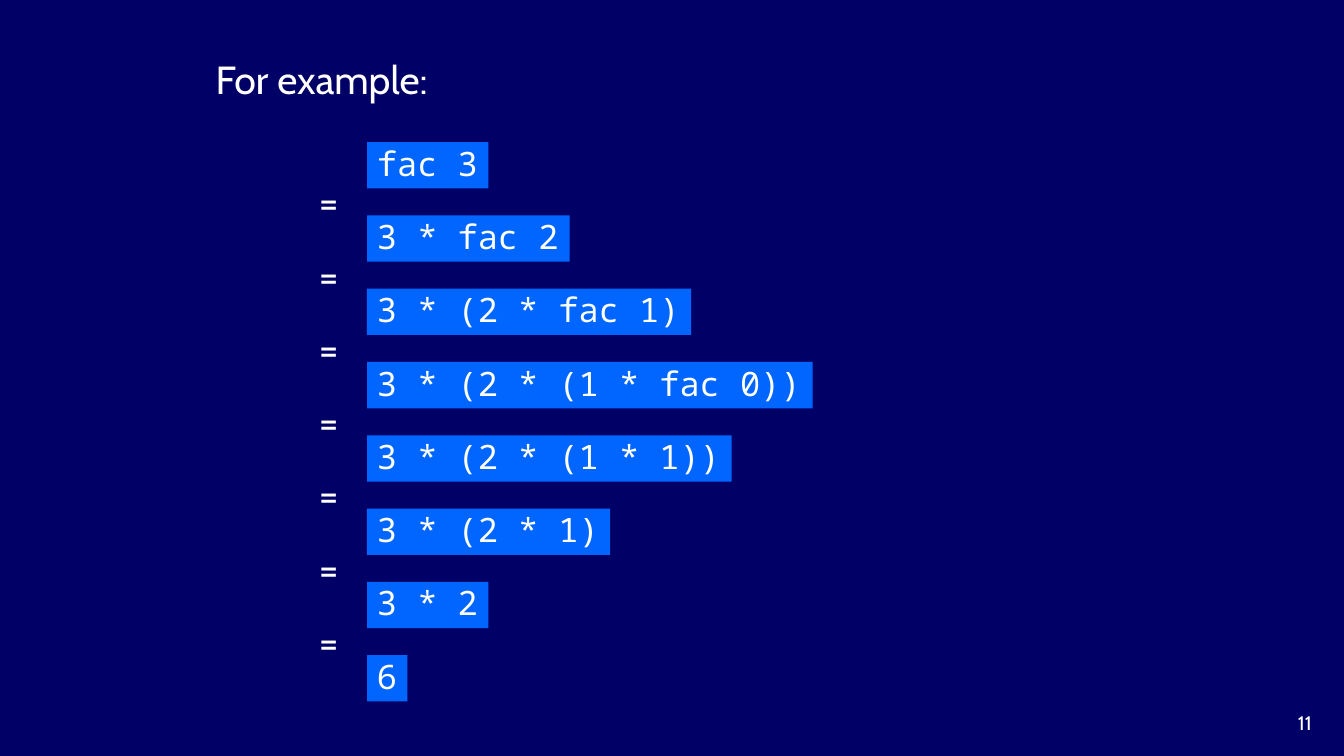
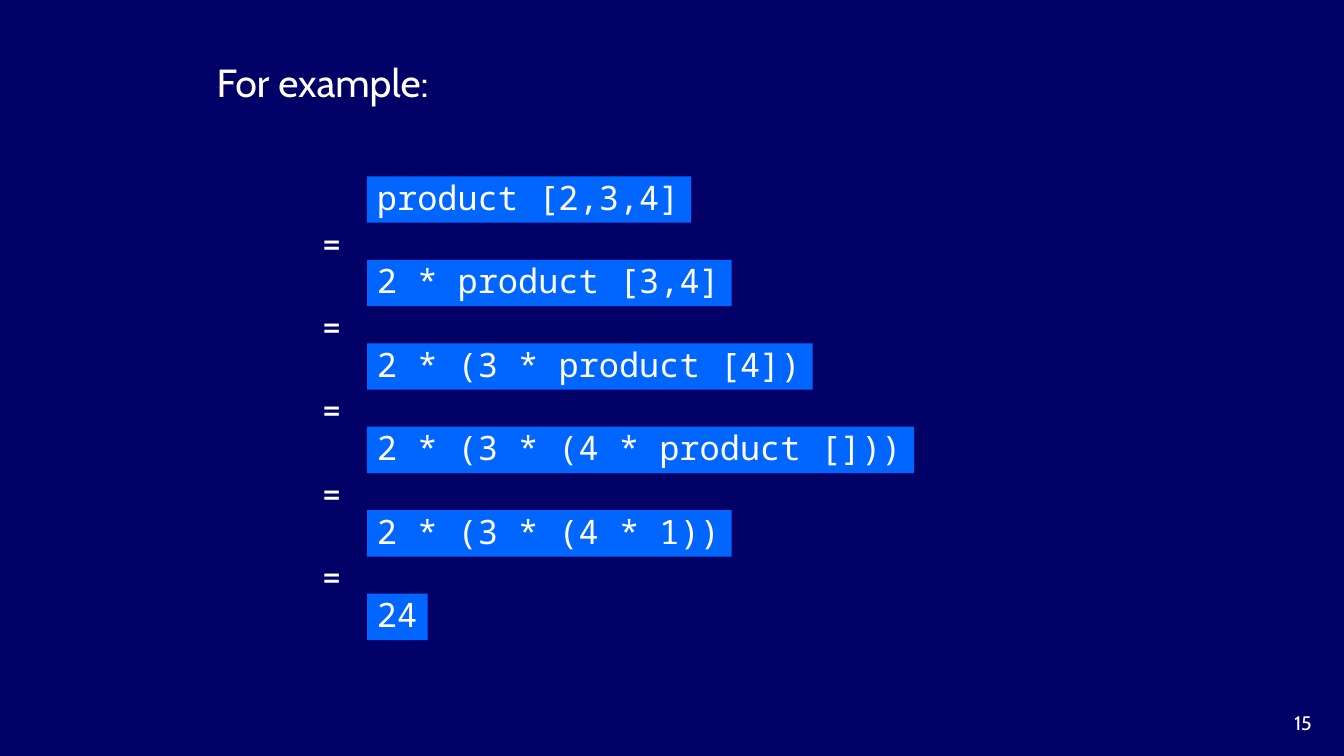
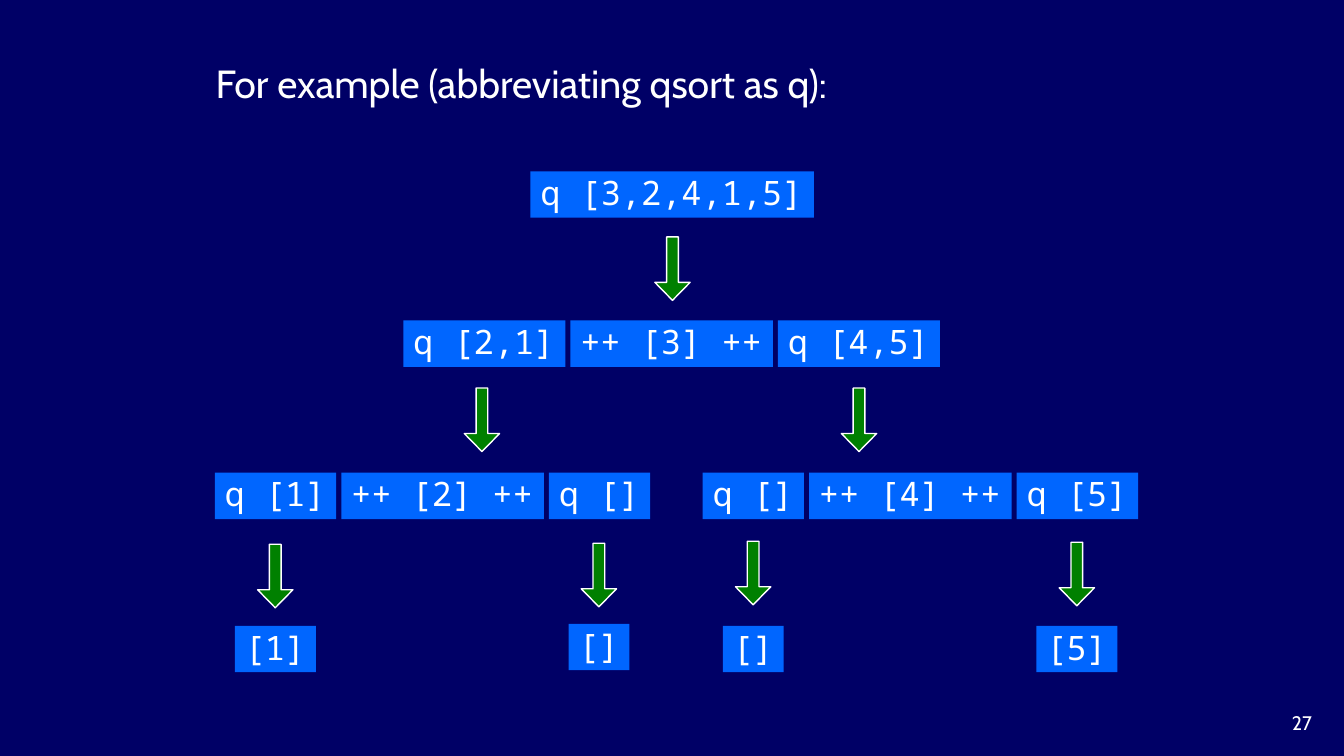
from dataclasses import dataclass

from pptx import Presentation
from pptx.dml.color import RGBColor
from pptx.enum.shapes import MSO_SHAPE
from pptx.enum.text import MSO_ANCHOR, MSO_AUTO_SIZE, PP_ALIGN
from pptx.util import Inches, Pt

RECTANGLE = MSO_SHAPE.RECTANGLE
DOWN_ARROW = MSO_SHAPE.DOWN_ARROW
TOP, MIDDLE = MSO_ANCHOR.TOP, MSO_ANCHOR.MIDDLE
LEFT, CENTER, RIGHT = PP_ALIGN.LEFT, PP_ALIGN.CENTER, PP_ALIGN.RIGHT
GROW, FIXED = MSO_AUTO_SIZE.SHAPE_TO_FIT_TEXT, MSO_AUTO_SIZE.NONE

NAVY, BLUE, GREEN, WHITE = "000066", "0066FF", "008000", "FFFFFF"
BODY_FONT, CODE_FONT = "Cabin", "Noto Sans Mono"
BLANK_LAYOUT = 6

CODE_LEFT = 3.64
CODE_HEIGHT = 0.46
CODE_PADDING = 0.2
TEN_CHARACTERS = 2.01
PIECE_GAP = 0.05
ARROW_WIDTH, ARROW_HEIGHT = 0.35, 0.63


@dataclass(frozen=True)
class Heading:
    text: str
    left: float
    top: float
    width: float


@dataclass(frozen=True)
class Derivation:
    number: int
    heading: Heading
    first_top: float
    last_top: float
    equals_left: float
    equals_drop: float
    lines: tuple[str, ...]


@dataclass(frozen=True)
class Expansion:
    arrow_center: float
    arrow_top: float
    row_left: float
    row_top: float
    pieces: tuple[str, ...]


FACTORIAL = Derivation(
    11, Heading("For example:", 2.04, 0.5, 2.45), 1.41, 6.5, 3.02, 0.3,
    (
        "fac 3",
        "3 * fac 2",
        "3 * (2 * fac 1)",
        "3 * (2 * (1 * fac 0))",
        "3 * (2 * (1 * 1))",
        "3 * (2 * 1)",
        "3 * 2",
        "6",
    ),
)
PRODUCT = Derivation(
    15, Heading("For example:", 2.05, 0.53, 2.45), 1.75, 5.89, 3.05, 0.35,
    (
        "product [2,3,4]",
        "2 * product [3,4]",
        "2 * (3 * product [4])",
        "2 * (3 * (4 * product []))",
        "2 * (3 * (4 * 1))",
        "24",
    ),
)
SORT_HEADING = Heading("For example (abbreviating qsort as q):", 2.04, 0.54, 9.09)
SORT_EXPANSIONS = (
    Expansion(6.67, 2.35, 4, 3.18, ("q [2,1]", "++ [3] ++", "q [4,5]")),
    Expansion(4.78, 3.85, 2.13, 4.69, ("q [1]", "++ [2] ++", "q []")),
    Expansion(8.52, 3.85, 6.97, 4.69, ("q []", "++ [4] ++", "q [5]")),
    Expansion(2.73, 5.4, 2.33, 6.21, ("[1]",)),
    Expansion(5.94, 5.39, 5.64, 6.19, ("[]",)),
    Expansion(7.47, 5.37, 7.17, 6.21, ("[]",)),
    Expansion(10.68, 5.38, 10.28, 6.21, ("[5]",)),
)


def color(value: str) -> RGBColor:
    return RGBColor.from_string(value)


def write(box, text: str, *, font: str = BODY_FONT, size: float = 28, align=LEFT,
          anchor=MIDDLE, wrap: bool = False, fit=GROW, spacing: float | None = None) -> None:
    frame = box.text_frame
    frame.word_wrap = wrap
    frame.auto_size = fit
    frame.vertical_anchor = anchor
    para = frame.paragraphs[0]
    para.alignment = align
    para.line_spacing = spacing
    span = para.add_run()
    span.text = text
    span.font.name = font
    span.font.size = Pt(size)
    span.font.color.rgb = color(WHITE)


def add_label(page, text: str, left: float, top: float, width: float, height: float,
              **text_format) -> None:
    box = page.shapes.add_textbox(Inches(left), Inches(top), Inches(width), Inches(height))
    write(box, text, **text_format)


def add_filled(page, preset, left: float, top: float, width: float, height: float, fill: str):
    shape = page.shapes.add_shape(preset, Inches(left), Inches(top), Inches(width), Inches(height))
    shape.shadow.inherit = False
    shape.fill.solid()
    shape.fill.fore_color.rgb = color(fill)
    return shape


def code_width(text: str) -> float:
    return CODE_PADDING + len(text) * TEN_CHARACTERS / 10


def add_code(page, text: str, left: float, top: float) -> None:
    box = add_filled(page, RECTANGLE, left, top, code_width(text), CODE_HEIGHT, BLUE)
    box.line.fill.background()
    write(box, text, font=CODE_FONT, size=24, spacing=0.9)


def add_arrow(page, center: float, top: float) -> None:
    arrow = add_filled(page, DOWN_ARROW, center - ARROW_WIDTH / 2, top,
                       ARROW_WIDTH, ARROW_HEIGHT, GREEN)
    arrow.adjustments[0] = 0.33
    arrow.adjustments[1] = 0.51
    arrow.line.color.rgb = color(WHITE)
    arrow.line.width = Pt(1)


def add_page(deck, number: int, heading: Heading):
    page = deck.slides.add_slide(deck.slide_layouts[BLANK_LAYOUT])
    add_label(page, str(number), 12.22, 7, 0.89, 0.33, size=14, align=RIGHT,
              anchor=TOP, wrap=True, fit=FIXED)
    add_label(page, heading.text, heading.left, heading.top, heading.width, 0.57, wrap=True)
    return page


def add_derivation(deck, derivation: Derivation) -> None:
    page = add_page(deck, derivation.number, derivation.heading)
    pitch = (derivation.last_top - derivation.first_top) / (len(derivation.lines) - 1)
    for index, line in enumerate(derivation.lines):
        top = derivation.first_top + index * pitch
        add_code(page, line, CODE_LEFT, top)
        if index > 0:
            equals_top = top - pitch + derivation.equals_drop
            add_label(page, "=", derivation.equals_left, equals_top, 0.48, 0.57, align=CENTER)


def add_expansion(page, expansion: Expansion) -> None:
    add_arrow(page, expansion.arrow_center, expansion.arrow_top)
    left = expansion.row_left
    for piece in expansion.pieces:
        add_code(page, piece, left, expansion.row_top)
        left += code_width(piece) + PIECE_GAP


def add_sort_tree(deck) -> None:
    page = add_page(deck, 27, SORT_HEADING)
    add_code(page, "q [3,2,4,1,5]", 5.26, 1.7)
    for expansion in SORT_EXPANSIONS:
        add_expansion(page, expansion)


def main() -> None:
    deck = Presentation()
    deck.slide_width = Inches(13.33)
    deck.slide_height = Inches(7.5)
    background = deck.slide_master.background.fill
    background.solid()
    background.fore_color.rgb = color(NAVY)
    add_derivation(deck, FACTORIAL)
    add_derivation(deck, PRODUCT)
    add_sort_tree(deck)
    deck.save("out.pptx")


if __name__ == "__main__":
    main()
